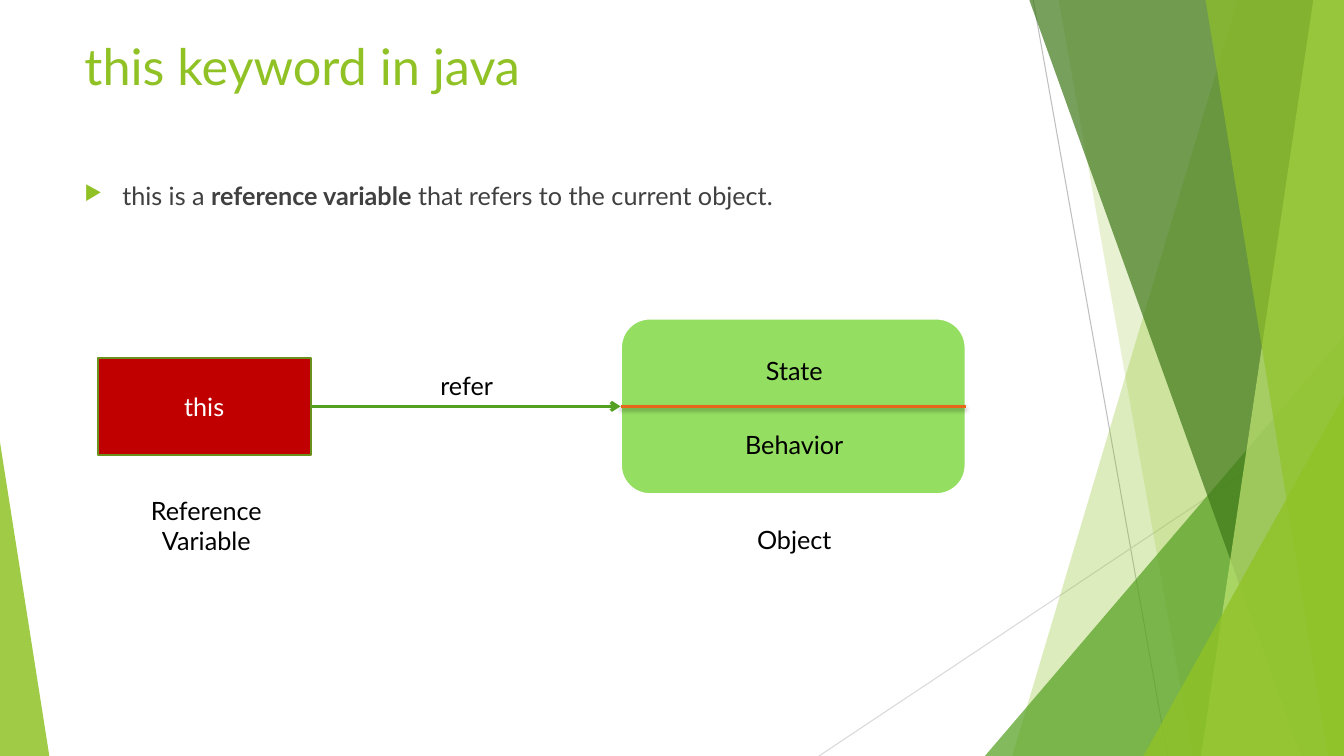
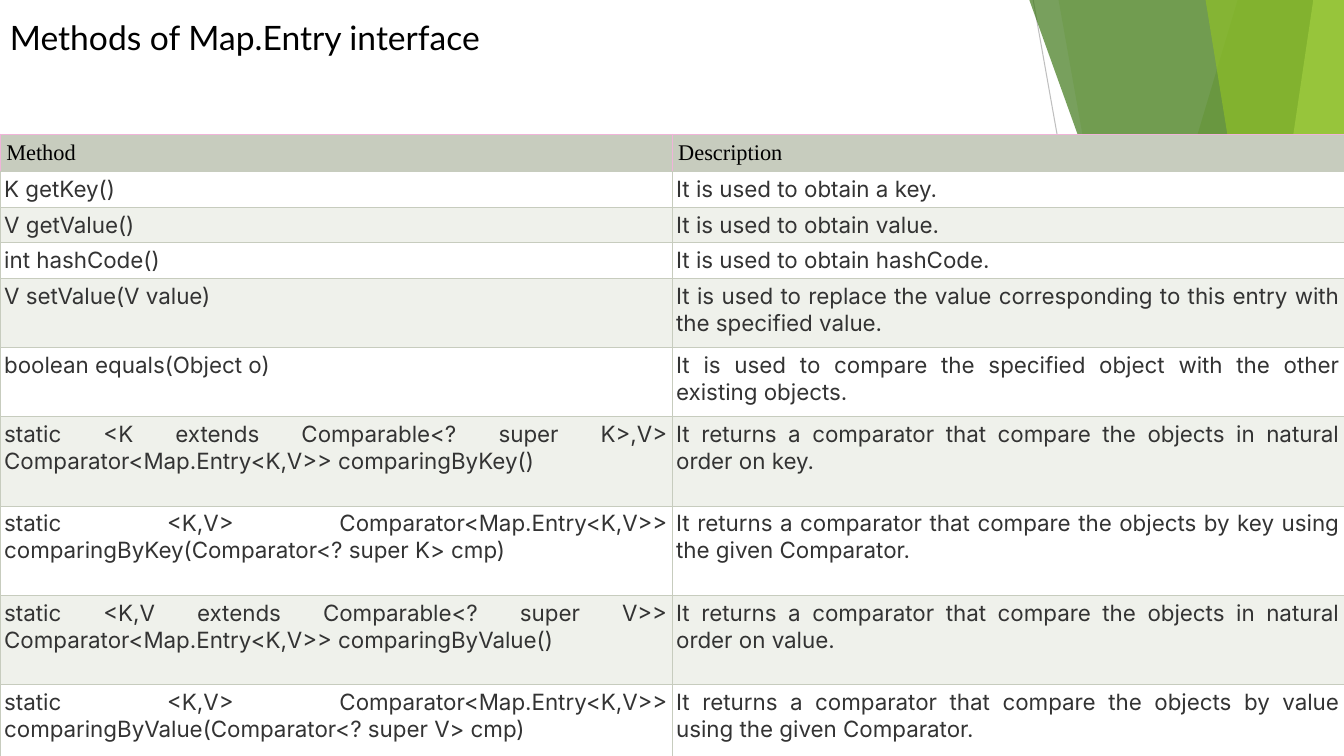
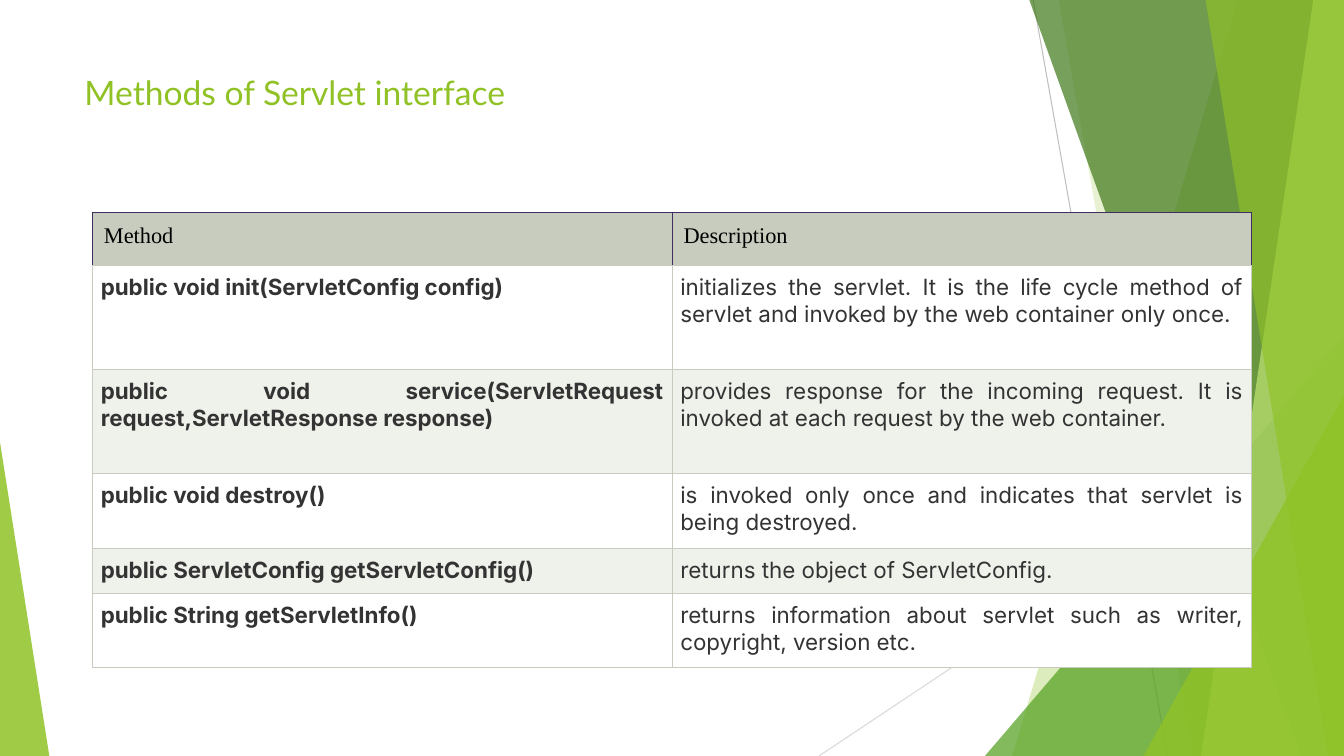
"""Builds three slides on Java keywords and interface methods."""
from dataclasses import dataclass

from lxml import etree
from pptx import Presentation
from pptx.dml.color import RGBColor
from pptx.enum import shapes, text
from pptx.oxml import ns
from pptx.util import Emu, Pt

PX = 9525
WIDTH, HEIGHT = 1280, 720


@dataclass(frozen=True)
class Theme:
    """Colours, fonts and type sizes of the deck."""
    lime: str = "90C226"
    green: str = "54A021"
    forest: str = "3F7819"
    pale: str = "C0E474"
    olive: str = "6B901C"
    mint: str = "94DE61"
    red: str = "C00000"
    orange: str = "E76618"
    white: str = "FFFFFF"
    black: str = "000000"
    body: str = "404040"
    cell: str = "333333"
    header: str = "C7CCBE"
    band: str = "EFF1EB"
    pink: str = "F0B4D9"
    purple: str = "402E60"
    ray: str = "BFBFBF"
    faint_ray: str = "D9D9D9"
    font: str = "Lato"
    cell_font: str = "Inter"
    header_font: str = "Times New Roman"
    title_size: int = 36
    heading_size: int = 24
    text_size: int = 18
    table_size: int = 16


THEME = Theme()


def px(value):
    """Turn pixels into EMU."""
    return Emu(value * PX)


def add_xml(parent, tag, **attributes):
    """Append a drawing element to a parent."""
    return etree.SubElement(parent, ns.qn(tag), {key: str(value) for key, value in attributes.items()})


def write(para, content, size=THEME.text_size, color=THEME.black, font=THEME.font, bold=False, align=None):
    """Append formatted text to a paragraph."""
    span = para.add_run()
    span.text = content
    span.font.size = Pt(size)
    span.font.name = font
    span.font.bold = bold
    span.font.color.rgb = RGBColor.from_string(color)
    if align is not None:
        para.alignment = align


class Slides:
    """Holds the deck and the current page."""

    def __init__(self, theme):
        """Start an empty deck."""
        self.theme = theme
        self.deck = Presentation()
        self.deck.slide_width, self.deck.slide_height = px(WIDTH), px(HEIGHT)
        self.page = None

    def new_page(self):
        """Add a page with the faceted background."""
        self.page = self.deck.slides.add_slide(self.deck.slide_layouts[6])
        theme = self.theme
        self.line((984, 0), (1112, HEIGHT), theme.ray, 0.75)
        self.line((WIDTH, 387), (780, HEIGHT), theme.faint_ray, 0.75)
        self.facet(1179, 964, theme.lime, 30)
        self.facet(1008, 1136, theme.lime, 20)
        self.triangle(938, 320, 342, 1, theme.green, 72)
        self.facet(980, 1239, theme.forest, 70)
        self.facet(1251, 1144, theme.pale, 70)
        self.facet(1148, 1265, theme.lime, 65)
        self.triangle(1089, 377, 191, 1, theme.lime, 80)
        self.triangle(0, 421, 47, 0, theme.lime, 85)

    def paint(self, shape, fill, opacity=100, line=None, weight=1):
        """Set fill, opacity and outline of a shape."""
        shape.shadow.inherit = False
        shape.fill.solid()
        shape.fill.fore_color.rgb = RGBColor.from_string(fill)
        if opacity < 100:
            color = shape.fill._xPr.find(ns.qn("a:solidFill"))[0]
            add_xml(color, "a:alpha", val=opacity * 1000)
        if line:
            shape.line.color.rgb = RGBColor.from_string(line)
            shape.line.width = Pt(weight)
        else:
            shape.line.fill.background()

    def facet(self, top_x, bottom_x, fill, opacity):
        """Draw a slanted panel reaching the right edge."""
        builder = self.page.shapes.build_freeform(top_x, -1, scale=PX)
        builder.add_line_segments([(WIDTH, -1), (WIDTH, HEIGHT), (bottom_x, HEIGHT)], close=True)
        self.paint(builder.convert_to_shape(), fill, opacity)

    def triangle(self, left, top, width, apex, fill, opacity):
        """Draw a triangle standing on the bottom edge."""
        shape = self.shape(shapes.MSO_SHAPE.ISOSCELES_TRIANGLE, (left, top, width, HEIGHT - top), fill, opacity=opacity)
        shape.adjustments[0] = apex

    def shape(self, kind, place, fill, **style):
        """Draw a preset shape."""
        shape = self.page.shapes.add_shape(kind, *map(px, place))
        self.paint(shape, fill, **style)
        return shape

    def line(self, start, end, color, weight, arrow=False, shadow=False):
        """Draw a straight line."""
        line = self.page.shapes.add_connector(shapes.MSO_CONNECTOR.STRAIGHT, *map(px, start + end))
        line.line.color.rgb = RGBColor.from_string(color)
        line.line.width = Pt(weight)
        if arrow:
            add_xml(line.line._get_or_add_ln(), "a:tailEnd", type="arrow")
        effects = add_xml(line._element.spPr, "a:effectLst")
        if shadow:
            outer = add_xml(effects, "a:outerShdw", blurRad=Pt(3), dist=Pt(2), dir=5400000, rotWithShape=0)
            shade = add_xml(outer, "a:srgbClr", val=self.theme.black)
            add_xml(shade, "a:alpha", val=35000)
        return line

    def join(self, first, first_side, last, last_side, *style, **options):
        """Draw a line joined to the sides of two shapes."""
        line = self.line((0, 0), (0, 0), *style, **options)
        line.begin_connect(first, first_side)
        line.end_connect(last, last_side)

    def box(self, place):
        """Add an empty text box and return its paragraph."""
        frame = self.page.shapes.add_textbox(*map(px, place)).text_frame
        frame.word_wrap = True
        return frame.paragraphs[0]

    def title(self, content, top, size):
        """Add a page title."""
        write(self.box((71, top, 902, 138)), content, size=size, color=self.theme.lime)

    def label(self, content, left, top, height=38):
        """Add a centred label."""
        write(self.box((left, top, 201, height)), content, align=text.PP_ALIGN.CENTER)

    def bullet(self, spans, place):
        """Add a bulleted line from (text, bold) pairs."""
        para = self.box(place)
        props = para._p.get_or_add_pPr()
        props.set("marL", str(px(36)))
        props.set("indent", str(-px(36)))
        add_xml(add_xml(props, "a:buClr"), "a:srgbClr", val=self.theme.lime)
        add_xml(props, "a:buSzPct", val=80000)
        add_xml(props, "a:buChar", char="▶")
        for content, bold in spans:
            write(para, content, color=self.theme.body, bold=bold)

    def cell(self, cell, content, fill, inset, edge, **style):
        """Fill one table cell."""
        cell.margin_left = cell.margin_right = cell.margin_top = cell.margin_bottom = px(inset)
        props = cell._tc.get_or_add_tcPr()
        for side in "LRTB":
            border = add_xml(props, "a:ln" + side, w=Pt(0.75))
            color = self.theme.header if side == "B" else edge
            add_xml(add_xml(border, "a:solidFill"), "a:srgbClr", val=color)
        cell.fill.solid()
        cell.fill.fore_color.rgb = RGBColor.from_string(fill)
        write(cell.text_frame.paragraphs[0], content, size=self.theme.table_size, **style)

    def table(self, rows, heights, place, insets, edge, bold=False):
        """Add a table of methods and descriptions."""
        left, top, width = place
        theme = self.theme
        size = map(px, (left, top, width, sum(heights)))
        table = self.page.shapes.add_table(len(heights), 2, *size).table
        table.first_row = table.horz_banding = False
        for column in table.columns:
            column.width = px(width // 2)
        for row, height in zip(table.rows, heights):
            row.height = px(height)
        for column, heading in enumerate(("Method", "Description")):
            self.cell(table.cell(0, column), heading, theme.header, insets[0], edge, font=theme.header_font)
        for index, row in enumerate(rows, 1):
            fill = theme.white if index % 2 else theme.band
            for column, content in enumerate(row):
                self.cell(table.cell(index, column), content, fill, insets[1], theme.header,
                          font=theme.cell_font, color=theme.cell, bold=bold and column == 0,
                          align=text.PP_ALIGN.JUSTIFY)


ENTRY_METHODS = [
    ("K getKey()", "It is used to obtain a key."),
    ("V getValue()", "It is used to obtain value."),
    ("int hashCode()", "It is used to obtain hashCode."),
    ("V setValue(V value)",
     "It is used to replace the value corresponding to this entry with the specified value."),
    ("boolean equals(Object o)",
     "It is used to compare the specified object with the other existing objects."),
    ("static <K extends Comparable<? super K>,V> Comparator<Map.Entry<K,V>> comparingByKey()",
     "It returns a comparator that compare the objects in natural order on key."),
    ("static <K,V> Comparator<Map.Entry<K,V>> comparingByKey(Comparator<? super K> cmp)",
     "It returns a comparator that compare the objects by key using the given Comparator."),
    ("static <K,V extends Comparable<? super V>> Comparator<Map.Entry<K,V>> comparingByValue()",
     "It returns a comparator that compare the objects in natural order on value."),
    ("static <K,V> Comparator<Map.Entry<K,V>> comparingByValue(Comparator<? super V> cmp)",
     "It returns a comparator that compare the objects by value using the given Comparator."),
]

SERVLET_METHODS = [
    ("public void init(ServletConfig config)",
     "initializes the servlet. It is the life cycle method of servlet and invoked by the web container only once."),
    ("public void service(ServletRequest request,ServletResponse response)",
     "provides response for the incoming request. It is invoked at each request by the web container."),
    ("public void destroy()", "is invoked only once and indicates that servlet is being destroyed."),
    ("public ServletConfig getServletConfig()", "returns the object of ServletConfig."),
    ("public String getServletInfo()",
     "returns information about servlet such as writer, copyright, version etc."),
]


def this_keyword(slides):
    """Show how the this keyword refers to an object."""
    theme = slides.theme
    slides.new_page()
    slides.title("this keyword in java", 29, theme.title_size)
    slides.bullet([("this is a ", False), ("reference variable", True),
                   (" that refers to the current object.", False)], (71, 167, 902, 64))
    target = slides.shape(shapes.MSO_SHAPE.ROUNDED_RECTANGLE, (591, 303, 329, 168), theme.mint,
                          line=theme.white, weight=2)
    slides.join(target, 1, target, 3, theme.orange, 2, shadow=True)
    variable = slides.shape(shapes.MSO_SHAPE.RECTANGLE, (93, 341, 203, 92), theme.red,
                            line=theme.olive, weight=1.5)
    variable.text_frame.vertical_anchor = text.MSO_ANCHOR.MIDDLE
    write(variable.text_frame.paragraphs[0], "this", color=theme.white, align=text.PP_ALIGN.CENTER)
    slides.join(variable, 3, target, 1, theme.green, 2.25, arrow=True)
    for content, top in (("State", 334), ("Behavior", 404), ("Object", 495)):
        slides.label(content, 656, top)
    slides.label("refer", 344, 348)
    slides.label("Reference Variable", 96, 467, height=68)


def entry_interface(slides):
    """List the methods of Map.Entry."""
    slides.new_page()
    slides.table(ENTRY_METHODS, [35] + [33] * 3 + [66] * 2 + [85] * 4, (0, 128, WIDTH), (6, 4), slides.theme.pink)
    write(slides.box((0, 11, 776, 48)), "Methods of Map.Entry interface", size=slides.theme.heading_size)


def servlet_interface(slides):
    """List the methods of Servlet."""
    slides.new_page()
    slides.title("Methods of Servlet interface", 64, slides.theme.heading_size)
    slides.table(SERVLET_METHODS, [51, 99, 99, 71, 43, 71], (88, 202, 1104), (11, 8), slides.theme.purple, bold=True)


def main():
    """Build and save the deck."""
    slides = Slides(THEME)
    this_keyword(slides)
    entry_interface(slides)
    servlet_interface(slides)
    slides.deck.save("out.pptx")


if __name__ == "__main__":
    main()
